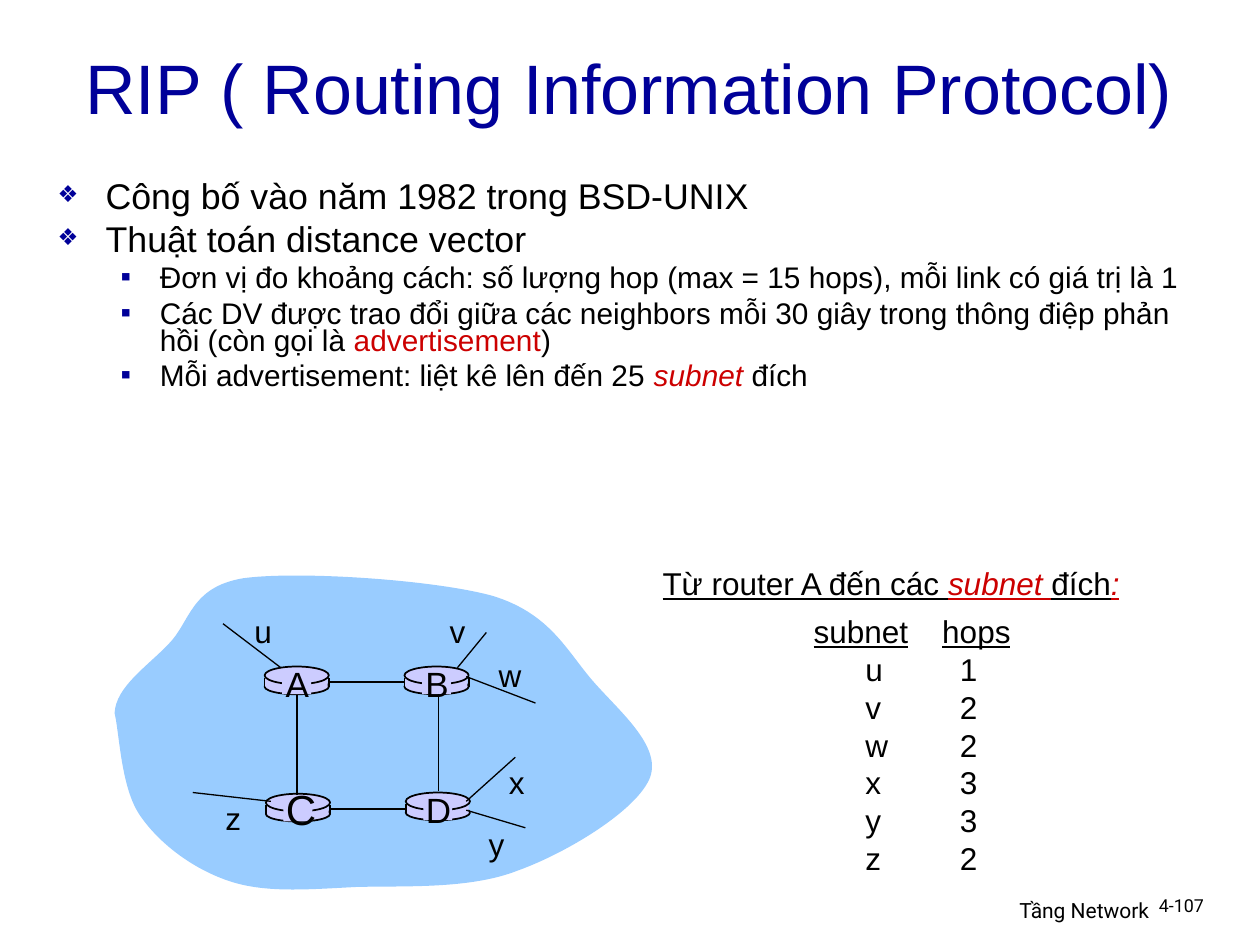
from pptx import Presentation
from pptx.util import Inches, Pt
from pptx.dml.color import RGBColor as RGB
from pptx.enum.shapes import MSO_SHAPE as Shape, MSO_CONNECTOR as Conn
from pptx.enum.text import PP_ALIGN as Align, MSO_ANCHOR as Anchor
from pptx.oxml.ns import qn
from lxml.etree import SubElement as Sub

HUE = {"ink": "000000", "navy": "000099", "red": "CC0000", "sky": "99CCFF", "lilac": "CCCCFF"}

deck = Presentation()
deck.slide_width, deck.slide_height = Inches(10), Inches(7.5)
slide = deck.slides.add_slide(deck.slide_layouts[6])
shapes = slide.shapes


def text(place, lines, size, hue="ink", face="Arial", wrap=True, align=Align.LEFT):
    """Add a text box; each line is a list of (words, format) runs."""
    frame = shapes.add_textbox(*map(Inches, place)).text_frame
    frame.word_wrap = wrap
    for i, runs in enumerate(lines):
        para = frame.paragraphs[0] if i == 0 else frame.add_paragraph()
        para.alignment = align
        for words, extra in runs:
            run = para.add_run()
            run.text = words
            style = {"name": face, "size": Pt(size), "hue": hue} | extra
            run.font.color.rgb = RGB.from_string(HUE[style.pop("hue")])
            for key, value in style.items():
                setattr(run.font, key, value)
    return frame


def line(x1, y1, x2, y2, width):
    link = shapes.add_connector(Conn.STRAIGHT, *map(Inches, (x1, y1, x2, y2)))
    link.line.color.rgb = RGB.from_string(HUE["ink"])
    link.line.width = Pt(width)
    Sub(link._element.spPr, qn("a:effectLst"))


# Footer
text((6.05, 7.07, 3.17, 0.31), [[("Tầng Network", {})]], 12, face="Roboto", align=Align.RIGHT)
page = text((9.1, 7.07, 0.74, 0.3), [[("4-107", {})]], 10.2, face="Roboto")
page.paragraphs[0].line_spacing = 0.9

# Title
title = text((0.58, 0.17, 8.94, 1.03), [[("RIP ( Routing Information Protocol)", {})]], 40, "navy")
title.vertical_anchor = Anchor.MIDDLE

# Bulleted body
red = {"hue": "red"}
term = red | {"italic": True}
sub = {"size": Pt(17)}
body = text((0.36, 1.41, 9.15, 1.85), [
    [("Công bố vào năm 1982 trong BSD-UNIX", {})],
    [("Thuật toán distance vector", {})],
    [("Đơn vị đo khoảng cách: số lượng hop (max = 15 hops), mỗi link có giá trị là 1", sub)],
    [("Các DV được trao đổi giữa các neighbors mỗi 30 giây trong thông điệp phản hồi (còn gọi là ", sub),
     ("advertisement", sub | red), (")", sub)],
    [("Mỗi advertisement: liệt kê lên đến 25 ", sub), ("subnet ", sub | term), ("đích", sub)],
], 20.4)
LEVELS = [("❖", 0.38, 0.38, 65, 6), ("▪", 0.81, 0.31, 100, 5)]
for i, para in enumerate(body.paragraphs):
    para.level = int(i > 1)
    mark, left, hang, scale, gap = LEVELS[para.level]
    para.line_spacing = 0.75
    para.space_before = Pt(gap if i else 0)
    props = para._p.get_or_add_pPr()
    props.set("marL", str(Inches(left)))
    props.set("indent", str(-Inches(hang)))
    Sub(Sub(props, qn("a:buClr")), qn("a:srgbClr"), val=HUE["navy"])
    Sub(props, qn("a:buSzPct"), val=str(scale * 1000))
    Sub(props, qn("a:buFont"), typeface="Arial")
    Sub(props, qn("a:buChar"), char=mark)

# Cloud: after the start, each row holds two control points and an end point
START = (0.91, 5.66)
CURVES = [
    (0.92, 5.45), (1.17, 5.29), (1.34, 5.11), (1.51, 4.94), (1.51, 4.66), (1.93, 4.59),
    (2.36, 4.53), (3.44, 4.6), (3.91, 4.73), (4.37, 4.87), (4.5, 5.17), (4.71, 5.41),
    (4.92, 5.65), (5.25, 5.92), (5.16, 6.17), (5.06, 6.43), (4.5, 6.77), (4.11, 6.91),
    (3.73, 7.06), (3.21, 7.03), (2.83, 7.04), (2.44, 7.06), (2.1, 7.09), (1.81, 6.99),
    (1.52, 6.89), (1.26, 6.69), (1.11, 6.47), (0.96, 6.25), (0.95, 5.83), START,
]
pen = shapes.build_freeform(*map(Inches, START))
pen.add_line_segments([(Inches(x), Inches(y)) for x, y in CURVES], close=True)
cloud = pen.convert_to_shape()
cloud.shadow.inherit = False
cloud.fill.solid()
cloud.fill.fore_color.rgb = RGB.from_string(HUE["sky"])
cloud.line.fill.background()
turns = list(cloud._element.iter(qn("a:lnTo")))
for first, second, end in zip(turns[::3], turns[1::3], turns[2::3]):
    bend = first.makeelement(qn("a:cubicBezTo"))
    first.addprevious(bend)
    for turn in (first, second, end):
        bend.append(turn[0])
        turn.getparent().remove(turn)

# Routers: drum, side walls, lid, then a patch behind the name
ROUTERS = {"A": (2.1, 5.29), "B": (3.21, 5.29), "C": (2.11, 6.3), "D": (3.22, 6.29)}
PARTS = [
    (Shape.OVAL, 0, 0.1, 0.51, 0.12, True),
    (Shape.RECTANGLE, 0, 0.09, 0.5, 0.07, False),
    (Shape.OVAL, 0, 0, 0.51, 0.14, True),
    (Shape.RECTANGLE, 0.14, 0.02, 0.23, 0.2, False),
]
for name, (x, y) in ROUTERS.items():
    for kind, dx, dy, wide, high, edge in PARTS:
        part = shapes.add_shape(kind, *map(Inches, (x + dx, y + dy, wide, high)))
        part.shadow.inherit = False
        part.fill.solid()
        part.fill.fore_color.rgb = RGB.from_string(HUE["lilac"])
        if edge:
            part.line.color.rgb = RGB.from_string(HUE["ink"])
            part.line.width = Pt(1)
        else:
            part.line.fill.background()
    for side in (x,) if name == "D" else (x, x + 0.51):
        line(side, y + 0.09, side, y + 0.16, 1)

# Links between routers
for ends in [(3.48, 5.51, 3.48, 6.28), (2.36, 5.52, 2.36, 6.31),
             (3.22, 6.42, 2.63, 6.42), (3.21, 5.41, 2.62, 5.41)]:
    line(*ends, 1)

# Router names
for name, (x, y) in ROUTERS.items():
    size, rise = (24, 0.13) if name == "C" else (20, 0.08)
    text((x + 0.06, y - rise, 0.4, 0.44), [[(name, {})]], size, wrap=False, align=Align.CENTER)

# Links to subnets
for ends in [(3.7, 5.37, 4.25, 5.58), (3.63, 5.3, 3.86, 5.02), (3.7, 6.36, 4.09, 6.01),
             (3.7, 6.43, 4.17, 6.57), (2.23, 5.3, 1.77, 4.95), (2.15, 6.36, 1.53, 6.29)]:
    line(*ends, 0.75)

# Subnet names
NETS = {"u": (1.92, 4.81), "v": (3.47, 4.81), "w": (3.86, 5.16),
        "x": (3.94, 6.01), "y": (3.78, 6.5), "z": (1.69, 6.29)}
for name, (x, y) in NETS.items():
    text((x, y, 0.38 if name == "w" else 0.33, 0.4), [[(name, {})]], 18, wrap=False)

# Hop counts from router A, in two columns
under = {"underline": True}
text((5.16, 4.43, 3.95, 0.4), [[
    ("Từ router A đến các ", under), ("subnet ", under | term),
    ("đích", under), (":", under | term)]], 18)
HOPS = {"u": "1", "v": "2", "w": "2", "x": "3", "y": "3", "z": "2"}
for head, cells, left, inset in [("subnet", HOPS.keys(), 6.36, 0.41),
                                 ("hops", HOPS.values(), 7.38, 0.14)]:
    rows = [[(head, under)]] + [[(cell, {})] for cell in cells]
    column = text((left, 4.81, 1, 2.2), rows, 18)
    for para in column.paragraphs[1:]:
        para._p.get_or_add_pPr().set("marL", str(Inches(inset)))

deck.save("out.pptx")
